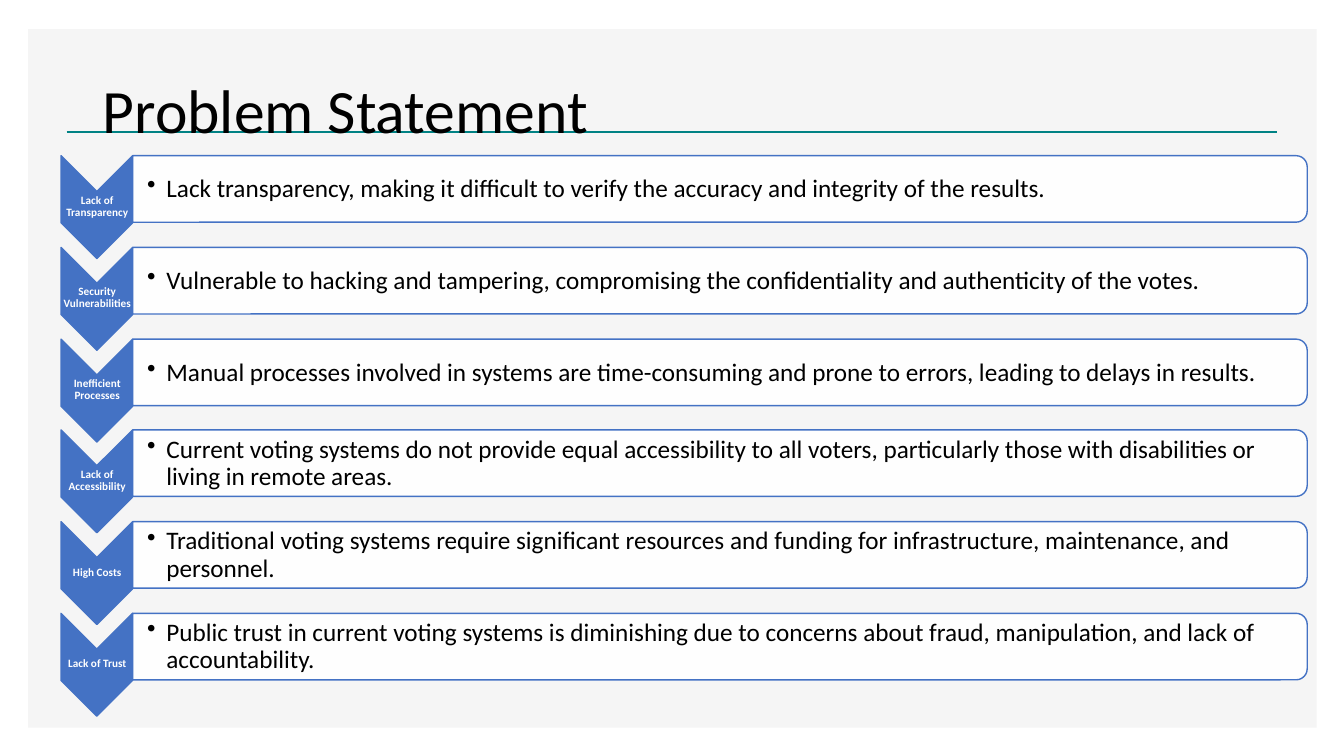
from lxml.etree import SubElement
from pptx import Presentation
from pptx.dml.color import RGBColor
from pptx.enum.shapes import MSO_CONNECTOR, MSO_SHAPE
from pptx.enum.text import MSO_ANCHOR, MSO_AUTO_SIZE, PP_ALIGN
from pptx.oxml.ns import qn
from pptx.util import Pt

PX = 9144  # 100 px to the inch
BLUE = "4472C4"

PROBLEMS = [
    ("Lack of Transparency",
     "Lack transparency, making it difficult to verify the accuracy and integrity of the results."),
    ("Security Vulnerabilities",
     "Vulnerable to hacking and tampering, compromising the confidentiality and authenticity of the votes."),
    ("Inefficient Processes",
     "Manual processes involved in systems are time-consuming and prone to errors, leading to delays in results."),
    ("Lack of Accessibility",
     "Current voting systems do not provide equal accessibility to all voters, particularly those with "
     "disabilities or living in remote areas."),
    ("High Costs",
     "Traditional voting systems require significant resources and funding for infrastructure, maintenance, "
     "and personnel."),
    ("Lack of Trust",
     "Public trust in current voting systems is diminishing due to concerns about fraud, manipulation, "
     "and lack of accountability."),
]


def paint(color_format, hex_color):
    color_format.rgb = RGBColor.from_string(hex_color)


def write(frame, text, color, align, font, margins):
    """Fill a text frame with one vertically centred paragraph and return it."""
    frame.word_wrap = True
    frame.auto_size = MSO_AUTO_SIZE.NONE
    frame.vertical_anchor = MSO_ANCHOR.MIDDLE
    for side, margin in margins.items():
        setattr(frame, f"margin_{side}", margin * PX)
    paragraph = frame.paragraphs[0]
    paragraph.text = text
    paragraph.alignment = align
    paragraph.line_spacing = 0.9
    run_font = paragraph.runs[0].font
    for name, value in {"name": "Calibri", **font}.items():
        setattr(run_font, name, value)
    paint(run_font.color, color)
    return paragraph


deck = Presentation()
deck.slide_width, deck.slide_height = 1333 * PX, 750 * PX
slide = deck.slides.add_slide(deck.slide_layouts[5])
shapes = slide.shapes

title = shapes.title
for name, value in {"left": 92, "top": 40, "width": 1150, "height": 145}.items():
    setattr(title, name, value * PX)
write(title.text_frame, "Problem Statement", "000000", PP_ALIGN.LEFT, {"size": Pt(44)}, {})

backdrop = shapes.add_shape(MSO_SHAPE.RECTANGLE, 28 * PX, 29 * PX, 1278 * PX, 693 * PX)
backdrop.shadow.inherit = False
backdrop.fill.solid()
paint(backdrop.fill.fore_color, "F5F5F5")
backdrop.line.fill.background()

rule = shapes.add_connector(MSO_CONNECTOR.STRAIGHT, 66 * PX, 131 * PX, 1267 * PX, 131 * PX)
SubElement(rule.element.spPr, qn("a:effectLst"))
paint(rule.line.color, "008284")
rule.line.width = Pt(2)

# The backdrop and the rule lie behind the title
for background_part in (backdrop, rule):
    title.element.addprevious(background_part.element)

for row, (problem, detail) in enumerate(PROBLEMS):
    offset = round(row * 90.8)

    # Both shapes are turned by 90 degrees, so width and height are swapped
    chevron = shapes.add_shape(MSO_SHAPE.CHEVRON, 45 * PX, (170 + offset) * PX, 102 * PX, 71 * PX)
    panel = shapes.add_shape(MSO_SHAPE.ROUND_2_SAME_RECTANGLE,
                             681 * PX, (offset - 395) * PX, 66 * PX, 1165 * PX)
    for shape, fill in ((chevron, BLUE), (panel, "FFFFFF")):
        shape.rotation = 90
        shape.shadow.inherit = False
        shape.fill.solid()
        paint(shape.fill.fore_color, fill)
        paint(shape.line.color, BLUE)
        shape.line.width = Pt(1)
    panel_color = panel.element.spPr.find(qn("a:solidFill"))[0]
    SubElement(panel_color, qn("a:alpha"), val="90000")

    label = shapes.add_textbox(61 * PX, (190 + offset) * PX, 71 * PX, 30 * PX)
    write(label.text_frame, problem, "FFFFFF", PP_ALIGN.CENTER, {"size": Pt(8), "bold": True},
          {"left": 1, "right": 1, "top": 1, "bottom": 1})

    description = shapes.add_textbox(132 * PX, (158 + offset) * PX, 1162 * PX, 60 * PX)
    bullet = write(description.text_frame, detail, "000000", PP_ALIGN.LEFT, {"size": Pt(18)},
                   {"left": 14, "right": 1, "top": 1, "bottom": 1})
    bullet.level = 1
    properties = bullet._p.get_or_add_pPr()
    properties.set("marL", str(19 * PX))
    properties.set("indent", str(-19 * PX))
    SubElement(properties, qn("a:buChar"), char="•")

deck.save("out.pptx")
